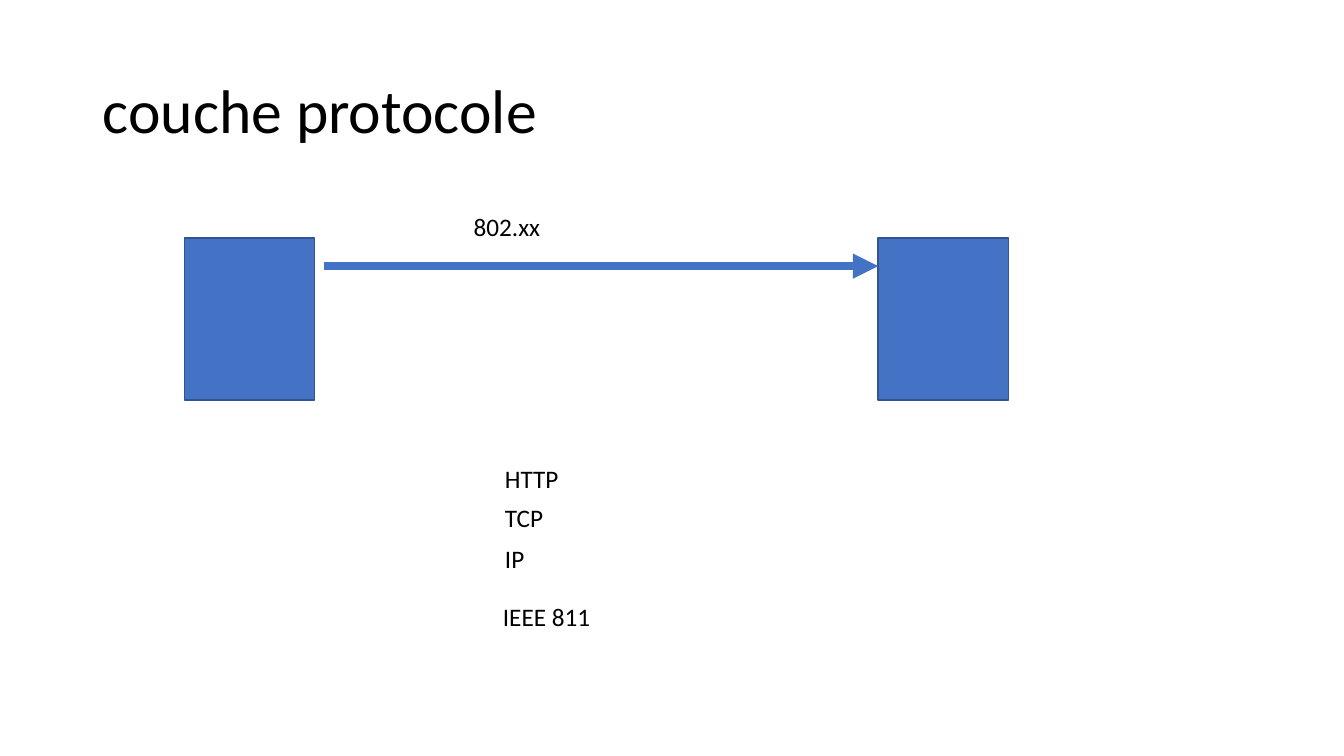
from lxml import etree
from pptx import Presentation
from pptx import util as u
from pptx.dml.color import RGBColor
from pptx.enum import shapes, text
from pptx.oxml import ns

BLACK = RGBColor(0x00, 0x00, 0x00)
BLUE = RGBColor(0x44, 0x72, 0xC4)
DARK_BLUE = RGBColor(0x32, 0x54, 0x91)


class ProtocolSlide:
    """Holds the style and the current slide, and adds each kind of element."""

    font = "Calibri"

    def __init__(self, deck):
        self.page = deck.slides.add_slide(deck.slide_layouts[5])

    def set_words(self, frame, words, size):
        frame.text = words
        para = frame.paragraphs[0]
        para.alignment = text.PP_ALIGN.LEFT
        span = para.runs[0]
        span.font.name = self.font
        span.font.size = u.Pt(size)
        span.font.color.rgb = BLACK
        return para

    def title(self, words, left, top, width, height):
        box = self.page.shapes.title
        box.left, box.top = u.Inches(left), u.Inches(top)
        box.width, box.height = u.Inches(width), u.Inches(height)
        box.text_frame.vertical_anchor = text.MSO_ANCHOR.MIDDLE
        self.set_words(box.text_frame, words, 44).line_spacing = 0.9

    def host(self, left, top, width, height):
        box = self.page.shapes.add_shape(
            shapes.MSO_SHAPE.RECTANGLE,
            u.Inches(left), u.Inches(top), u.Inches(width), u.Inches(height))
        box.shadow.inherit = False
        box.fill.solid()
        box.fill.fore_color.rgb = BLUE
        box.line.color.rgb = DARK_BLUE
        box.line.width = u.Pt(1)

    def arrow(self, start, end, height):
        arrow = self.page.shapes.add_connector(
            shapes.MSO_CONNECTOR.STRAIGHT,
            u.Inches(start), u.Inches(height), u.Inches(end), u.Inches(height))
        arrow.line.color.rgb = BLUE
        arrow.line.width = u.Pt(6)
        properties = arrow._element.spPr
        outline = properties.find(ns.qn("a:ln"))
        etree.SubElement(outline, ns.qn("a:tailEnd"), type="triangle")
        etree.SubElement(properties, ns.qn("a:effectLst"))

    def label(self, words, left, top, width):
        box = self.page.shapes.add_textbox(
            u.Inches(left), u.Inches(top), u.Inches(width), u.Inches(0.4))
        frame = box.text_frame
        frame.word_wrap = False
        frame.auto_size = text.MSO_AUTO_SIZE.SHAPE_TO_FIT_TEXT
        self.set_words(frame, words, 18)


def main():
    deck = Presentation()
    deck.slide_width, deck.slide_height = u.Inches(13.33), u.Inches(7.5)
    slide = ProtocolSlide(deck)
    slide.title("couche protocole", 0.92, 0.4, 11.5, 1.45)
    for left in (1.83, 8.71):
        slide.host(left, 2.36, 1.29, 1.61)
    slide.arrow(3.21, 8.71, 2.64)
    for words, left, top, width in (
        ("802.xx", 4.6, 2.05, 0.87),
        ("HTTP", 4.91, 4.55, 0.74),
        ("TCP", 4.91, 4.93, 0.58),
        ("IP", 4.91, 5.34, 0.39),
        ("IEEE 811", 4.89, 5.92, 1.07),
    ):
        slide.label(words, left, top, width)
    deck.save("out.pptx")


if __name__ == "__main__":
    main()
